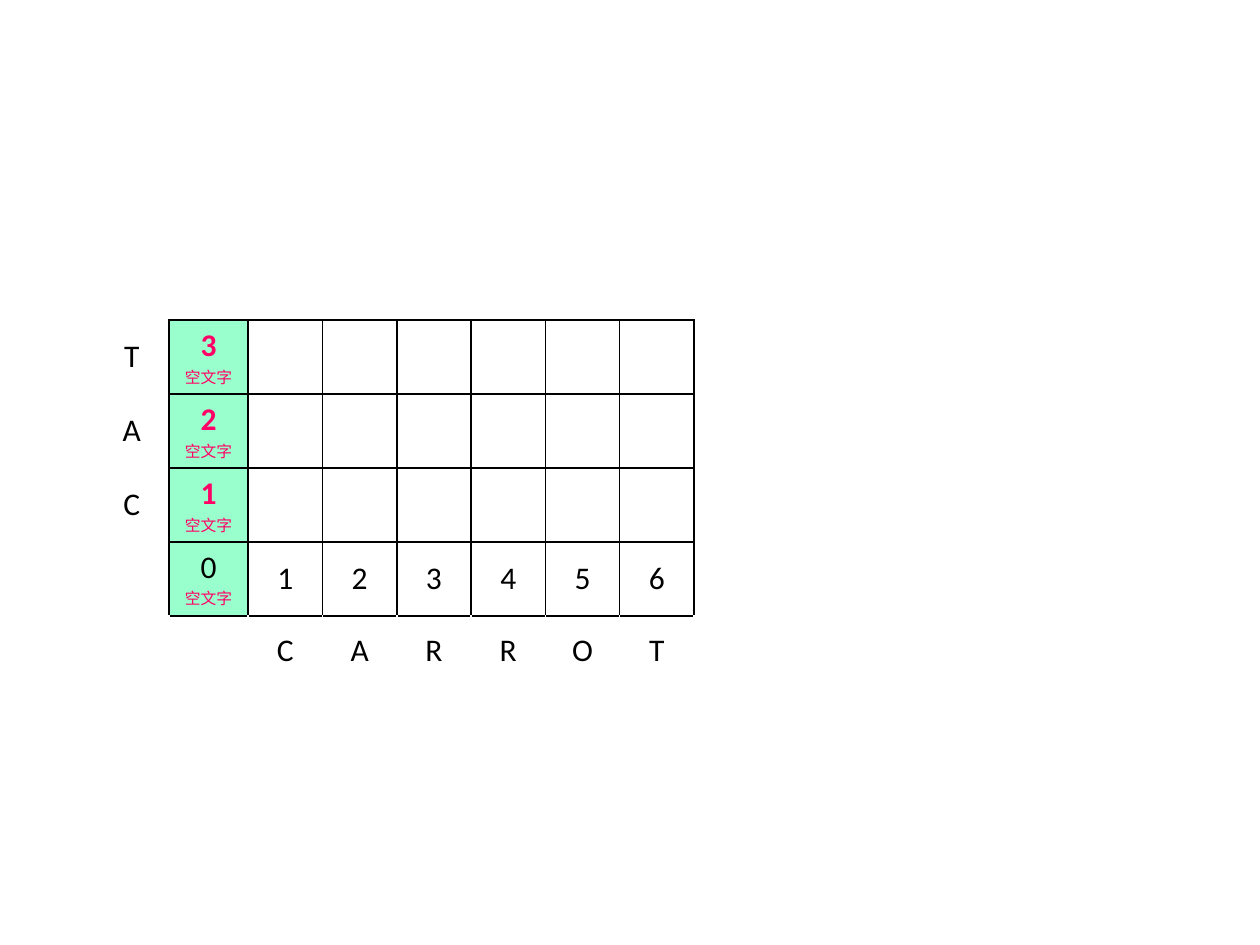
from lxml.etree import SubElement
from pptx import Presentation
from pptx.dml.color import RGBColor
from pptx.enum.text import MSO_ANCHOR, PP_ALIGN
from pptx.oxml.ns import qn
from pptx.util import Inches, Pt

BLACK = RGBColor(0x00, 0x00, 0x00)
WHITE = RGBColor(0xFF, 0xFF, 0xFF)
PINK = RGBColor(0xFF, 0x00, 0x66)
MINT = RGBColor(0x99, 0xFF, 0xCC)

SOURCE_WORD = "CARROT"
TARGET_WORD = "CAT"
EMPTY_STRING = "空文字"

LABEL_COLUMN = 0
EMPTY_COLUMN = 1
FIRST_LETTER_COLUMN = 2
BASE_ROW = len(TARGET_WORD)
LABEL_ROW = BASE_ROW + 1
COLUMN_WIDTHS = [0.59, 0.63] + [0.59] * len(SOURCE_WORD)
ROW_HEIGHT = 0.55

# Border tag with the row and column step to the neighbouring cell
SIDES = {"a:lnL": (0, -1), "a:lnR": (0, 1), "a:lnT": (-1, 0), "a:lnB": (1, 0)}


def in_grid(row, column):
    """Tell whether a cell holds a distance rather than a letter label."""
    return 0 <= row <= BASE_ROW and EMPTY_COLUMN <= column < len(COLUMN_WIDTHS)


class DistanceSlide:
    font_name = "Calibri"
    text_size = 18
    note_size = 9
    border_width = Pt(1)

    def __init__(self, presentation):
        self.slide = presentation.slides.add_slide(presentation.slide_layouts[6])

    def add_grid(self, left, top, column_widths, row_count, row_height):
        frame = self.slide.shapes.add_table(
            row_count, len(column_widths), Inches(left), Inches(top),
            Inches(sum(column_widths)), Inches(row_height * row_count))
        grid = frame.table
        grid.first_row = grid.horz_banding = False
        for column, width in zip(grid.columns, column_widths):
            column.width = Inches(width)
        for row in grid.rows:
            row.height = Inches(row_height)
        for row in range(row_count):
            for column in range(len(column_widths)):
                cell = grid.cell(row, column)
                self.add_borders(cell, row, column)
                cell.fill.background()
        return grid

    def add_borders(self, cell, row, column):
        """Draw black edges around grid cells and white ones elsewhere."""
        properties = cell._tc.get_or_add_tcPr()
        for tag, (row_step, column_step) in SIDES.items():
            visible = in_grid(row, column) or in_grid(row + row_step, column + column_step)
            line = SubElement(properties, qn(tag), w=str(self.border_width))
            fill = SubElement(line, qn("a:solidFill"))
            SubElement(fill, qn("a:srgbClr"), val=str(BLACK if visible else WHITE))

    def fill_cell(self, cell, text):
        cell.vertical_anchor = MSO_ANCHOR.MIDDLE
        cell.text_frame.text = text
        paragraph = cell.text_frame.paragraphs[0]
        paragraph.alignment = PP_ALIGN.CENTER
        self.format_run(paragraph.runs[0], self.text_size, BLACK)
        return paragraph

    def fill_noted_cell(self, cell, text, note, highlighted):
        paragraph = self.fill_cell(cell, text)
        if highlighted:
            self.format_run(paragraph.runs[0], self.text_size, PINK, bold=True)
        paragraph.add_line_break()
        note_run = paragraph.add_run()
        note_run.text = note
        self.format_run(note_run, self.note_size, PINK)
        cell.fill.solid()
        cell.fill.fore_color.rgb = MINT

    def format_run(self, run, size, color, bold=False):
        run.font.name = self.font_name
        run.font.size = Pt(size)
        run.font.bold = bold
        run.font.color.rgb = color


def main():
    presentation = Presentation()
    presentation.slide_width = Inches(10)
    presentation.slide_height = Inches(7.5)

    page = DistanceSlide(presentation)
    grid = page.add_grid(0.75, 2.54, COLUMN_WIDTHS, LABEL_ROW + 1, ROW_HEIGHT)
    grid.cell(BASE_ROW, LABEL_COLUMN).merge(grid.cell(LABEL_ROW, LABEL_COLUMN))

    for row, letter in enumerate(reversed(TARGET_WORD)):
        page.fill_cell(grid.cell(row, LABEL_COLUMN), letter)
    for row in range(BASE_ROW + 1):
        distance = BASE_ROW - row
        page.fill_noted_cell(grid.cell(row, EMPTY_COLUMN), str(distance),
                             EMPTY_STRING, highlighted=distance > 0)
    for index, letter in enumerate(SOURCE_WORD):
        column = FIRST_LETTER_COLUMN + index
        page.fill_cell(grid.cell(BASE_ROW, column), str(index + 1))
        page.fill_cell(grid.cell(LABEL_ROW, column), letter)

    presentation.save("out.pptx")


if __name__ == "__main__":
    main()
